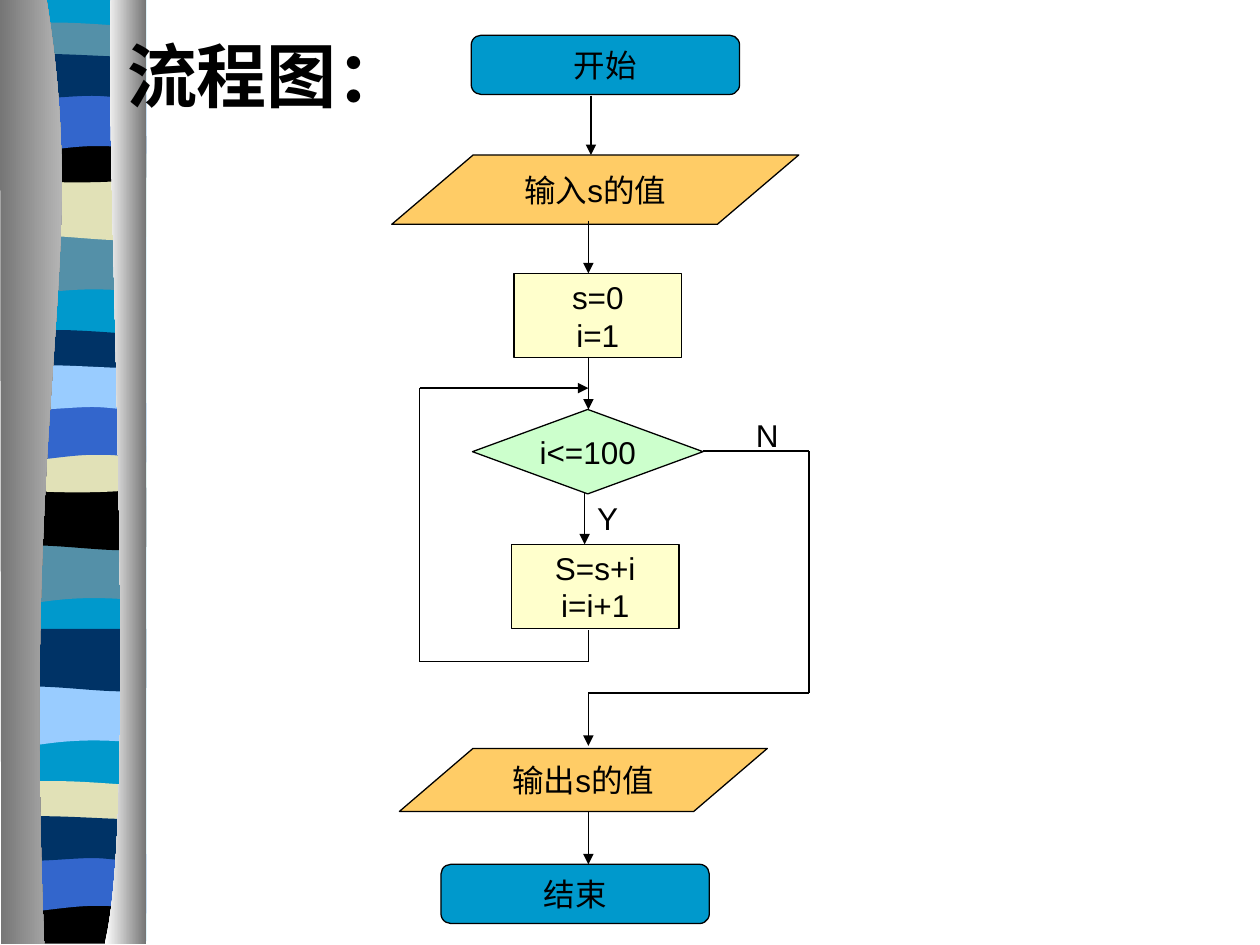
from dataclasses import dataclass
from itertools import pairwise

from pptx import Presentation
from pptx.dml.color import RGBColor
from pptx.enum.shapes import MSO_CONNECTOR, MSO_SHAPE
from pptx.enum.text import MSO_ANCHOR, MSO_AUTO_SIZE, PP_ALIGN
from pptx.oxml.ns import qn
from pptx.util import Inches, Pt
from lxml.etree import SubElement


@dataclass(frozen=True)
class Theme:
    font: str = "Arial"
    ink: str = "000000"
    blue: str = "0099CC"
    orange: str = "FFCC66"
    yellow: str = "FFFFCC"
    green: str = "CCFFCC"
    steel: str = "5490A8"
    sand: str = "E1E1B7"
    royal: str = "3366CC"
    navy: str = "003366"
    sky: str = "99CCFF"
    grey: str = "767676"
    silver: str = "D3D3D3"
    white: str = "FFFFFF"
    title_size: int = 40
    body_size: int = 18
    line_width: float = 0.75


THEME = Theme()
AXIS = 4.67  # x of the main flow

# Band outlines relative to their top: a pair is a corner,
# a triple of pairs is a Bezier curve from the point before.
SWELL = [(1.15, 0), ((1.15, 0), (1.15, 0.47), (1.15, 0.47)),
         ((0.39, 0.39), (0.24, 0.55), (0.05, 0.47)), (0.05, 0), (1.15, 0)]
TILT = [(1.16, 0), (1.16, 0.47), ((0.98, 0.55), (0.4, 0.42), (0.06, 0.47)),
        (0.06, 0), (1.16, 0)]
LENS = [(1.15, 0), (1.15, 0.24), ((0.97, 0.28), (0.24, 0.28), (0.05, 0.24)),
        (0.05, 0), ((0.12, -0.05), (0.29, -0.04), (0.47, -0.04)),
        ((0.66, -0.04), (1.01, -0.01), (1.15, 0))]
BOWL = [(1.16, 0), (1.16, 0.33), ((0.98, 0.38), (0.25, 0.38), (0.06, 0.33)),
        (0.06, 0), ((0.74, 0.05), (0.93, 0), (1.16, 0))]
BASE = [(1.15, 0), (1.15, 0.37), (0.06, 0.37), (0.05, 0),
        ((0.73, 0.05), (0.92, 0), (1.15, 0))]
ARCH = [(1.16, 0), ((1.16, 0), (1.16, 0.47), (1.16, 0.47)),
        ((0.99, 0.41), (0.92, 0.41), (0.74, 0.41)),
        ((0.55, 0.41), (0.23, 0.47), (0.06, 0.47)), (0.06, 0), (1.16, 0)]
RIPPLE = [(1.15, 0), (1.15, 0.31), ((1.08, 0.36), (0.91, 0.31), (0.73, 0.31)),
          ((0.54, 0.31), (0.17, 0.36), (0.05, 0.31)), (0.05, 0),
          ((0.21, -0.05), (0.8, 0), (0.98, 0)),
          ((1.16, 0), (1.11, 0), (1.15, 0))]

# Outline, top and colour of each band, from back to front
BANDS = [
    (SWELL, 1.85, THEME.steel), (TILT, 1.41, THEME.sand),
    (LENS, 0.22, THEME.steel), (BOWL, 1.08, THEME.ink),
    (ARCH, 0.75, THEME.royal), (RIPPLE, 0.45, THEME.navy),
    (SWELL, 4.3, THEME.steel), (TILT, 3.87, THEME.ink),
    (LENS, 2.66, THEME.navy), (BOWL, 3.54, THEME.sand),
    (ARCH, 3.2, THEME.royal), (RIPPLE, 2.92, THEME.sky),
    (SWELL, 5.43, THEME.sky), (TILT, 4.99, THEME.navy),
    (LENS, 6.24, THEME.sand), (BASE, 7.12, THEME.ink),
    (ARCH, 6.78, THEME.royal), (RIPPLE, 6.5, THEME.navy),
]

RIBBON = [(1.16, 0), (1.16, 7.47), (0.06, 7.47), (0.06, 0), (1.16, 0)]
LEFT_COLUMN = [(0.37, 0), ((0.72, 2.17), (0.17, 2.96), (0.35, 7.49)),
               (0.01, 7.49), (0, 0), (0.37, 0)]
RIGHT_COLUMN = [(0.88, 0), ((0.83, 1.25), (1.11, 6.47), (0.83, 7.49)),
                (1.16, 7.49), (1.16, 0), (0.88, 0)]


def rgb(color):
    return RGBColor.from_string(color)


def set_all(target, values):
    for name, value in values.items():
        setattr(target, name, value)


def bend(segments):
    """Turn three line segments into one Bezier curve through their points."""
    first = segments[0]
    curve = first.getparent().makeelement(qn("a:cubicBezTo"))
    first.addprevious(curve)
    for segment in segments:
        curve.append(segment[0])
        segment.getparent().remove(segment)


def add_outline(slide, outline, top=0):
    parts = [part if len(part) == 3 else (part,) for part in outline]
    start, *rest = [(Inches(x), Inches(y + top)) for part in parts for x, y in part]
    builder = slide.shapes.build_freeform(*start)
    builder.add_line_segments(rest, close=True)
    outline_shape = builder.convert_to_shape()
    segments = iter(list(outline_shape._element.iter(qn("a:lnTo"))))
    for part in parts[1:]:
        part_segments = [next(segments) for _ in part]
        if len(part) == 3:
            bend(part_segments)
    outline_shape.shadow.inherit = False
    outline_shape.line.fill.background()
    return outline_shape


def add_band(slide, outline, top, color):
    band = add_outline(slide, outline, top)
    band.fill.solid()
    band.fill.fore_color.rgb = rgb(color)


def add_column(slide, outline, colors):
    column = add_outline(slide, outline)
    column.fill.gradient()
    column.fill.gradient_angle = 0
    for stop, color in zip(column.fill.gradient_stops, colors):
        stop.color.rgb = rgb(color)


def write_text(frame, text, frame_format, align=PP_ALIGN.LEFT,
               size=THEME.body_size, bold=False):
    set_all(frame, frame_format)
    frame.text = text
    for paragraph in frame.paragraphs:
        paragraph.alignment = align
        set_all(paragraph.font, {"name": THEME.font, "size": Pt(size), "bold": bold})
        paragraph.font.color.rgb = rgb(THEME.ink)


def add_step(slide, kind, box, color, text):
    step = slide.shapes.add_shape(kind, *map(Inches, box))
    step.shadow.inherit = False
    step.fill.solid()
    step.fill.fore_color.rgb = rgb(color)
    step.line.color.rgb = rgb(THEME.ink)
    step.line.width = Pt(THEME.line_width)
    write_text(step.text_frame, text,
               {"word_wrap": False, "vertical_anchor": MSO_ANCHOR.MIDDLE},
               PP_ALIGN.CENTER)


def add_label(slide, box, text, wrap=False, **text_format):
    label = slide.shapes.add_textbox(*map(Inches, box))
    write_text(label.text_frame, text,
               {"word_wrap": wrap, "auto_size": MSO_AUTO_SIZE.SHAPE_TO_FIT_TEXT},
               **text_format)


def add_flow(slide, *points):
    """Straight lines through the points, with an arrowhead at the end."""
    for start, end in pairwise(points):
        flow = slide.shapes.add_connector(
            MSO_CONNECTOR.STRAIGHT, *map(Inches, start + end))
        flow.line.color.rgb = rgb(THEME.ink)
        flow.line.width = Pt(THEME.line_width)
        if end == points[-1]:
            SubElement(flow.line._get_or_add_ln(), qn("a:tailEnd"), type="triangle")
        SubElement(flow._element.spPr, qn("a:effectLst"))


def add_ribbon(slide):
    add_band(slide, RIBBON, 0, THEME.blue)
    for band in BANDS:
        add_band(slide, *band)
    add_column(slide, LEFT_COLUMN, (THEME.grey, THEME.silver))
    add_column(slide, RIGHT_COLUMN, (THEME.white, THEME.grey))


def add_flowchart(slide):
    terminal = MSO_SHAPE.FLOWCHART_ALTERNATE_PROCESS
    in_out = MSO_SHAPE.FLOWCHART_DATA

    # Start, input and initial values
    add_step(slide, terminal, (3.74, 0.28, 2.13, 0.47), THEME.blue, "开始")
    add_flow(slide, (4.69, 0.76), (4.69, 1.23))
    add_step(slide, in_out, (3.11, 1.23, 3.23, 0.55), THEME.orange, "输入s的值")
    add_flow(slide, (AXIS, 1.75), (AXIS, 2.17))
    add_step(slide, MSO_SHAPE.RECTANGLE, (4.08, 2.17, 1.33, 0.67),
             THEME.yellow, "s=0\ni=1")

    # Loop test
    add_flow(slide, (AXIS, 2.83), (AXIS, 3.25))
    add_step(slide, MSO_SHAPE.FLOWCHART_DECISION, (3.75, 3.25, 1.83, 0.67),
             THEME.green, "i<=100")

    # End, and the way back to the test
    add_step(slide, terminal, (3.5, 6.86, 2.13, 0.47), THEME.blue, "结束")
    add_flow(slide, (AXIS, 6.44), (AXIS, 6.86))
    add_flow(slide, (AXIS, 5), (AXIS, 5.25), (3.33, 5.25), (3.33, 3.08), (AXIS, 3.08))

    # Loop exit and output
    add_flow(slide, (5.58, 3.58), (6.42, 3.58), (6.42, 5.5), (AXIS, 5.5), (AXIS, 5.92))
    add_step(slide, in_out, (3.17, 5.94, 2.92, 0.5), THEME.orange, "输出s的值")
    add_label(slide, (5.9, 3.25, 0.38, 0.4), "N")

    # Loop body
    add_flow(slide, (4.64, 3.91), (4.64, 4.32))
    add_step(slide, MSO_SHAPE.RECTANGLE, (4.06, 4.32, 1.33, 0.67),
             THEME.yellow, "S=s+i\ni=i+1")
    add_label(slide, (4.64, 3.91, 0.36, 0.4), "Y")


def main():
    deck = Presentation()
    set_all(deck, {"slide_width": Inches(10), "slide_height": Inches(7.5)})
    slide = deck.slides.add_slide(deck.slide_layouts[6])
    add_ribbon(slide)
    add_flowchart(slide)
    add_label(slide, (0.91, 0.21, 2.68, 0.77), "流程图：", wrap=True,
              size=THEME.title_size, bold=True)
    deck.save("out.pptx")


if __name__ == "__main__":
    main()
